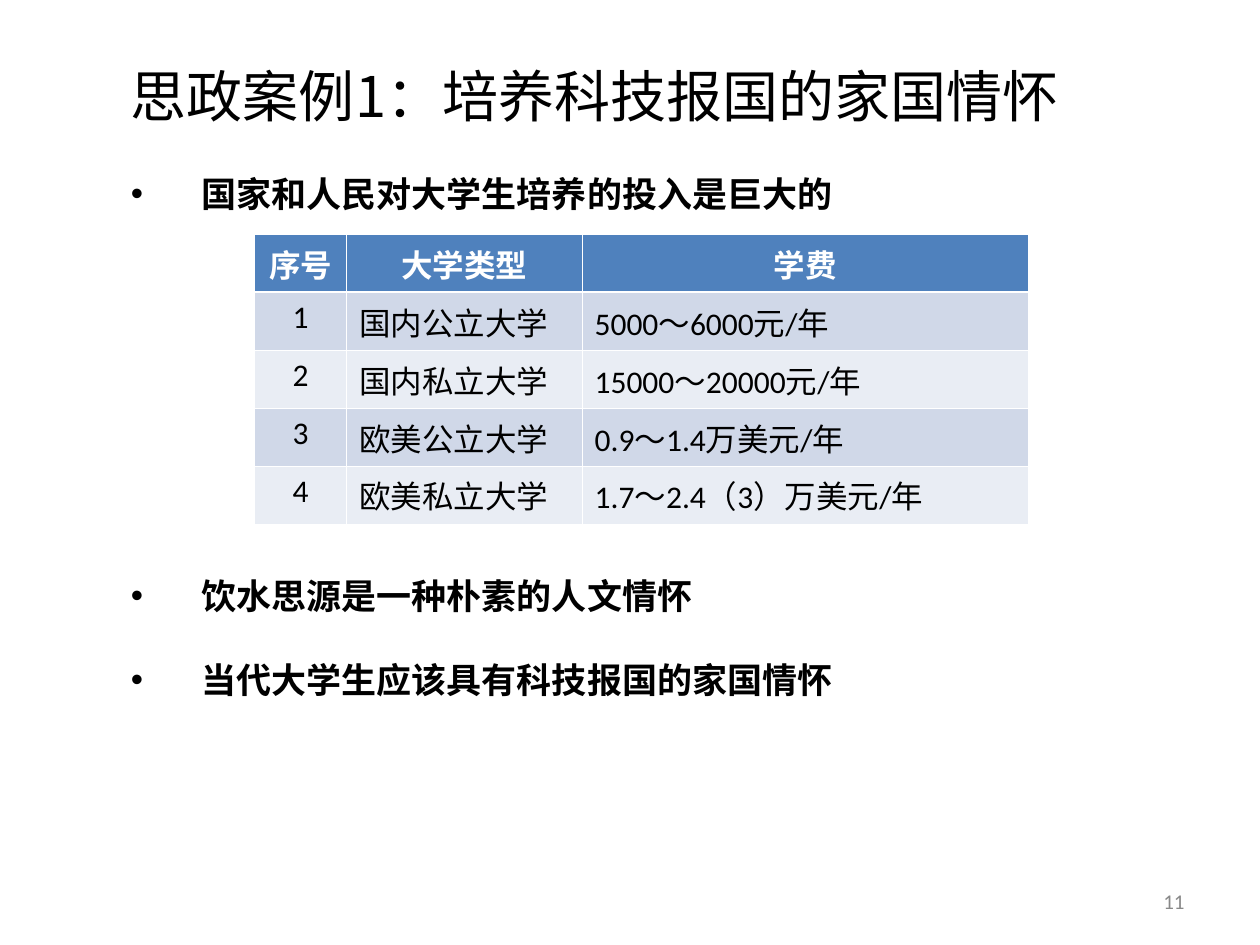
from pptx import Presentation
from pptx.dml.color import RGBColor
from pptx.enum.text import MSO_ANCHOR as ANCHOR, PP_ALIGN as ALIGN
from pptx.oxml import parse_xml
from pptx.oxml.ns import nsdecls
from pptx.util import Inches, Pt

# Content
TITLE = "思政案例1：培养科技报国的家国情怀"
PAGE = "11"
# Bullet text and the space before it; the table sits in the large gap
BULLETS = [
    ("国家和人民对大学生培养的投入是巨大的", 0),
    ("饮水思源是一种朴素的人文情怀", 188),
    ("当代大学生应该具有科技报国的家国情怀", 6),
]
FEES = [
    ("序号", "大学类型", "学费"),
    ("1", "国内公立大学", "5000～6000元/年"),
    ("2", "国内私立大学", "15000～20000元/年"),
    ("3", "欧美公立大学", "0.9～1.4万美元/年"),
    ("4", "欧美私立大学", "1.7～2.4（3）万美元/年"),
]
COL_WIDTHS = [0.73, 1.87, 3.54]
ROW_HEIGHT = 0.46
HEADER_FILL, BAND_FILLS = "4F81BD", ("E9EDF4", "D0D8E8")

# Text formats
TITLE_FONT = {"name": "Noto Sans CJK SC", "size": Pt(32)}
BULLET_FONT = {"name": "Times New Roman", "size": Pt(20), "bold": True}
PAGE_FONT = {"name": "Calibri", "size": Pt(12)}
CELL_FONT = {"name": "Calibri", "size": Pt(18)}


def rgb(value):
    return RGBColor.from_string(value)


def write(p, text, font, color="000000"):
    r = p.add_run()
    r.text = text
    for name, value in font.items():
        setattr(r.font, name, value)
    r.font.color.rgb = rgb(color)


def add_box(slide, x, y, w, h, anchor=ANCHOR.TOP):
    tf = slide.shapes.add_textbox(Inches(x), Inches(y), Inches(w), Inches(h)).text_frame
    tf.word_wrap = True
    tf.vertical_anchor = anchor
    return tf


def add_bullet(p):
    pPr = p._p.get_or_add_pPr()
    pPr.set("marL", str(Inches(0.56)))
    pPr.set("indent", str(-Inches(0.56)))
    for xml in (
        f'<a:buClr {nsdecls("a")}><a:srgbClr val="000000"/></a:buClr>',
        f'<a:buFont {nsdecls("a")} typeface="Arial"/>',
        f'<a:buChar {nsdecls("a")} char="•"/>',
    ):
        pPr.append(parse_xml(xml))


def set_borders(cell, widths):
    tcPr = cell._tc.get_or_add_tcPr()
    for i, (side, width) in enumerate(widths.items()):
        tcPr.insert(i, parse_xml(
            f'<a:{side} {nsdecls("a")} w="{Pt(width)}"><a:solidFill>'
            f'<a:srgbClr val="FFFFFF"/></a:solidFill></a:{side}>'))


prs = Presentation()
prs.slide_width, prs.slide_height = Inches(10), Inches(7.5)
s = prs.slides.add_slide(prs.slide_layouts[6])

# Title
tf = add_box(s, 0.94, 0.44, 8.13, 0.63, ANCHOR.MIDDLE)
write(tf.paragraphs[0], TITLE, TITLE_FONT)

# Bullets
tf = add_box(s, 0.94, 1.15, 8.31, 5.59)
for i, (text, before) in enumerate(BULLETS):
    p = tf.add_paragraph() if i else tf.paragraphs[0]
    p.line_spacing = 1.5
    p.space_before, p.space_after = Pt(before), Pt(6)
    add_bullet(p)
    write(p, text, BULLET_FONT)

# Page number
tf = add_box(s, 7.17, 6.95, 2.33, 0.4, ANCHOR.MIDDLE)
tf.paragraphs[0].alignment = ALIGN.RIGHT
write(tf.paragraphs[0], PAGE, PAGE_FONT, "898989")

# Tuition table
table = s.shapes.add_table(
    len(FEES), len(COL_WIDTHS), Inches(2.02), Inches(1.86),
    Inches(sum(COL_WIDTHS)), Inches(ROW_HEIGHT * len(FEES))).table
for column, width in zip(table.columns, COL_WIDTHS):
    column.width = Inches(width)
for i, row in enumerate(FEES):
    table.rows[i].height = Inches(ROW_HEIGHT)
    header = i == 0
    for j, text in enumerate(row):
        cell = table.cell(i, j)
        cell.fill.solid()
        cell.fill.fore_color.rgb = rgb(HEADER_FILL if header else BAND_FILLS[i % 2])
        set_borders(cell, {"lnL": 0.45, "lnR": 0.45,
                           "lnT": 1.47 if i == 1 else 0.45,
                           "lnB": 1.47 if header else 0.45})
        p = cell.text_frame.paragraphs[0]
        p.alignment = ALIGN.CENTER if header or j == 0 else ALIGN.LEFT
        write(p, text, {**CELL_FONT, "bold": header}, "FFFFFF" if header else "000000")

prs.save("out.pptx")
